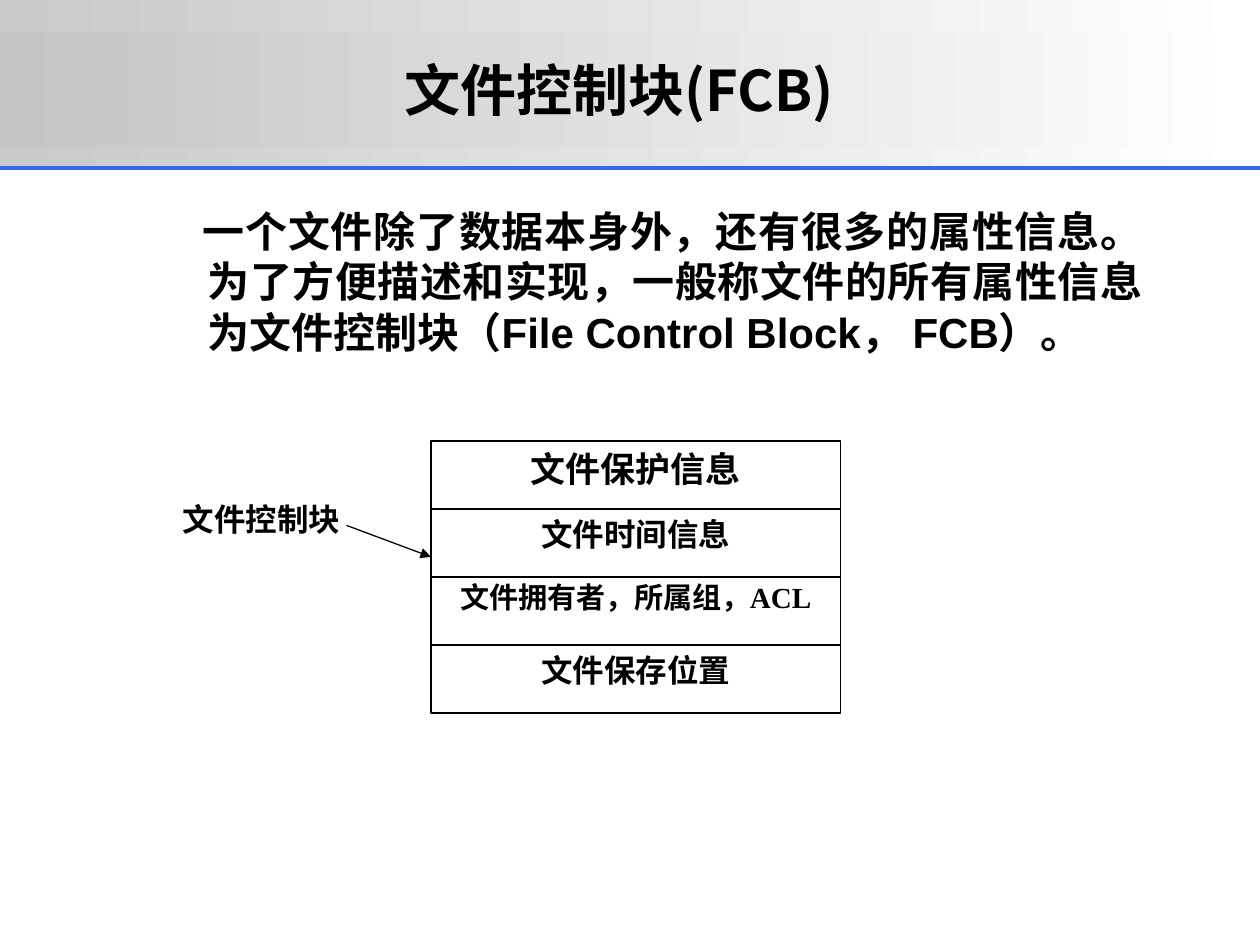
from lxml import etree
from pptx import Presentation
from pptx import util as u
from pptx.dml.color import RGBColor
from pptx.enum import shapes, text
from pptx.oxml.ns import qn

CJK_FONT = "Noto Sans CJK SC"
ROW_LEFT, ROW_TOP, ROW_WIDTH, ROW_HEIGHT = 3.42, 3.5, 3.25, 0.54
FCB_ROWS = [
    ("文件保护信息", 20, 1.0),
    ("文件时间信息", 18, 1.0),
    ("文件拥有者，所属组，ACL", 16.6, 0.9),
    ("文件保存位置", 18, 1.0),
]


def color(value):
    return RGBColor.from_string(value)


def box(left, top, width, height):
    return [u.Inches(value) for value in (left, top, width, height)]


def write(shape, words, size, font, align, anchor=text.MSO_ANCHOR.TOP, wrap=True):
    """Put one bold black paragraph into a shape and return it."""
    frame = shape.text_frame
    frame.text = words
    frame.word_wrap = wrap
    frame.vertical_anchor = anchor
    paragraph = frame.paragraphs[0]
    paragraph.alignment = align
    for run in paragraph.runs:
        run.font.size = u.Pt(size)
        run.font.name = font
        run.font.bold = True
        run.font.color.rgb = color("000000")
        east_asian = etree.SubElement(run.font._element, qn("a:ea"))
        east_asian.set("typeface", CJK_FONT)
    return paragraph


def add_rectangle(slide, place):
    shape = slide.shapes.add_shape(shapes.MSO_SHAPE.RECTANGLE, *box(*place))
    shape.shadow.inherit = False
    return shape


def add_band(slide, place, start):
    """Add a header band that fades to white on the right."""
    band = add_rectangle(slide, place)
    band.line.fill.background()
    band.fill.gradient()
    band.fill.gradient_angle = 0
    for stop, value in zip(band.fill.gradient_stops, (start, "FFFFFF")):
        stop.color.rgb = color(value)


def add_line(slide, start, end, value, width, arrow=False):
    line = slide.shapes.add_connector(
        shapes.MSO_CONNECTOR.STRAIGHT, *box(*start, *end))
    line.line.color.rgb = color(value)
    line.line.width = u.Pt(width)
    if arrow:
        tail = etree.SubElement(line.line._get_or_add_ln(), qn("a:tailEnd"))
        tail.set("type", "triangle")
    etree.SubElement(line._element.spPr, qn("a:effectLst"))


def add_title(slide, words):
    title = slide.shapes.title
    title.left, title.top, title.width, title.height = box(0.83, 0.08, 8.17, 1.25)
    write(title, words, 32, CJK_FONT, text.PP_ALIGN.CENTER, text.MSO_ANCHOR.MIDDLE)
    # Bring the title in front of the header bands
    slide.shapes._spTree.append(title._element)


def add_body(slide, words):
    body = slide.shapes.add_textbox(*box(1.17, 1.58, 8, 1.4))
    paragraph = write(body, words, 24, "Arial", text.PP_ALIGN.JUSTIFY)
    properties = paragraph._p.get_or_add_pPr()
    properties.set("marL", str(u.Inches(0.38)))
    properties.set("indent", str(u.Inches(-0.04)))


def add_fcb_row(slide, index, words, size, spacing):
    top = ROW_TOP + index * ROW_HEIGHT
    row = add_rectangle(slide, (ROW_LEFT, top, ROW_WIDTH, ROW_HEIGHT))
    row.fill.solid()
    row.fill.fore_color.rgb = color("FFFFFF")
    row.line.color.rgb = color("000000")
    row.line.width = u.Pt(0.75)
    paragraph = write(row, words, size, "Times New Roman", text.PP_ALIGN.CENTER)
    paragraph.line_spacing = spacing


def main():
    presentation = Presentation()
    presentation.slide_width = u.Inches(10)
    presentation.slide_height = u.Inches(7.5)
    slide = presentation.slides.add_slide(presentation.slide_layouts[5])

    # Header
    add_band(slide, (0, 0, 10, 1.33), "C9C9C9")
    add_band(slide, (0, 0.25, 10, 0.92), "C4C4C4")
    add_line(slide, (0, 1.33), (10, 1.33), "3366FF", 2.25)
    add_title(slide, "文件控制块(FCB)")

    # Explanation
    add_body(slide, "一个文件除了数据本身外，还有很多的属性信息。"
                    "为了方便描述和实现，一般称文件的所有属性信息"
                    "为文件控制块（File Control Block， FCB）。")

    # Control block and its label
    for index, row in enumerate(FCB_ROWS):
        add_fcb_row(slide, index, *row)
    label = slide.shapes.add_textbox(*box(1.35, 3.92, 1.45, 0.4))
    write(label, "文件控制块", 18, "Arial", text.PP_ALIGN.CENTER,
          text.MSO_ANCHOR.MIDDLE, wrap=False)
    add_line(slide, (2.75, 4.17), (ROW_LEFT, 4.42), "000000", 0.75, arrow=True)

    presentation.save("out.pptx")


if __name__ == "__main__":
    main()
